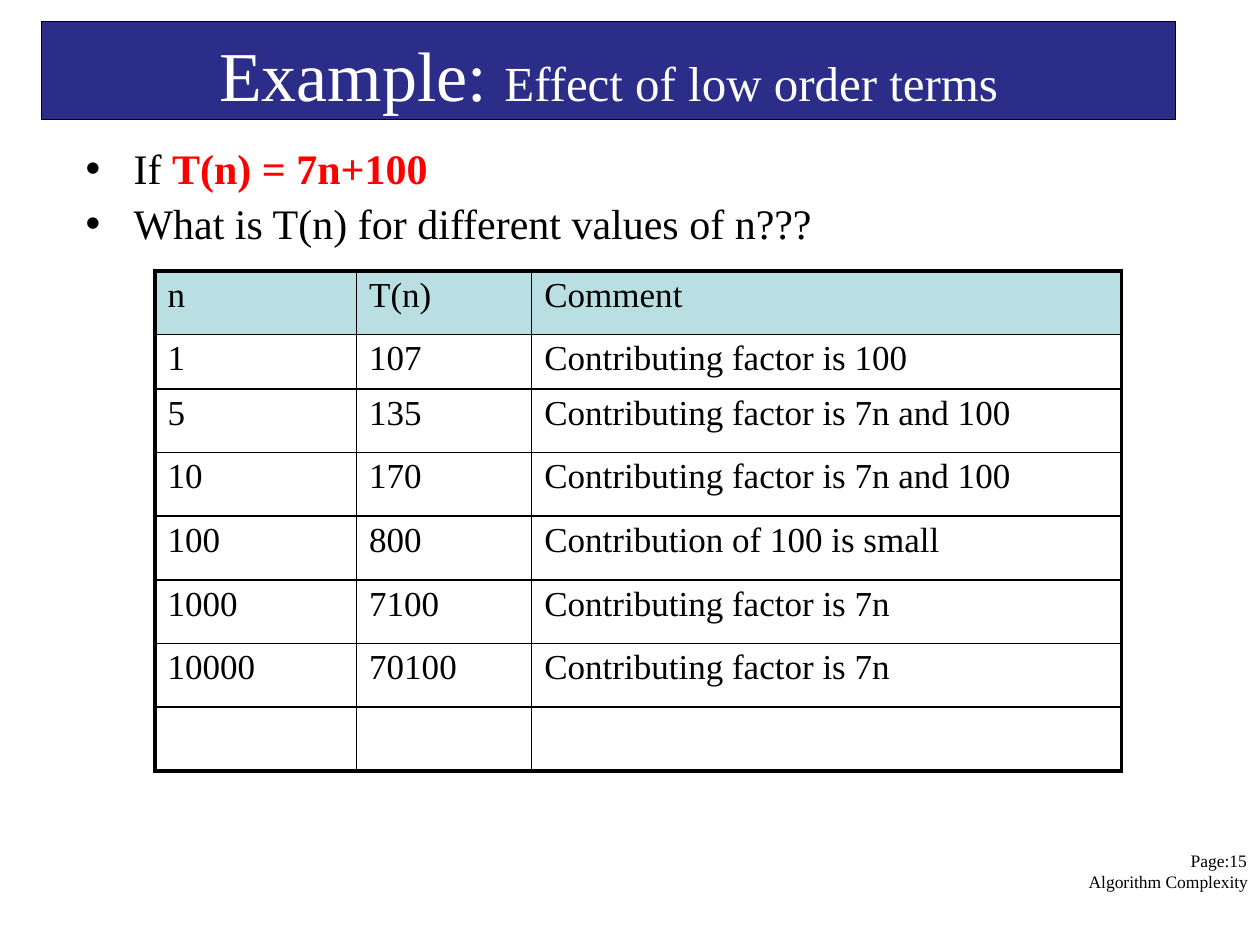
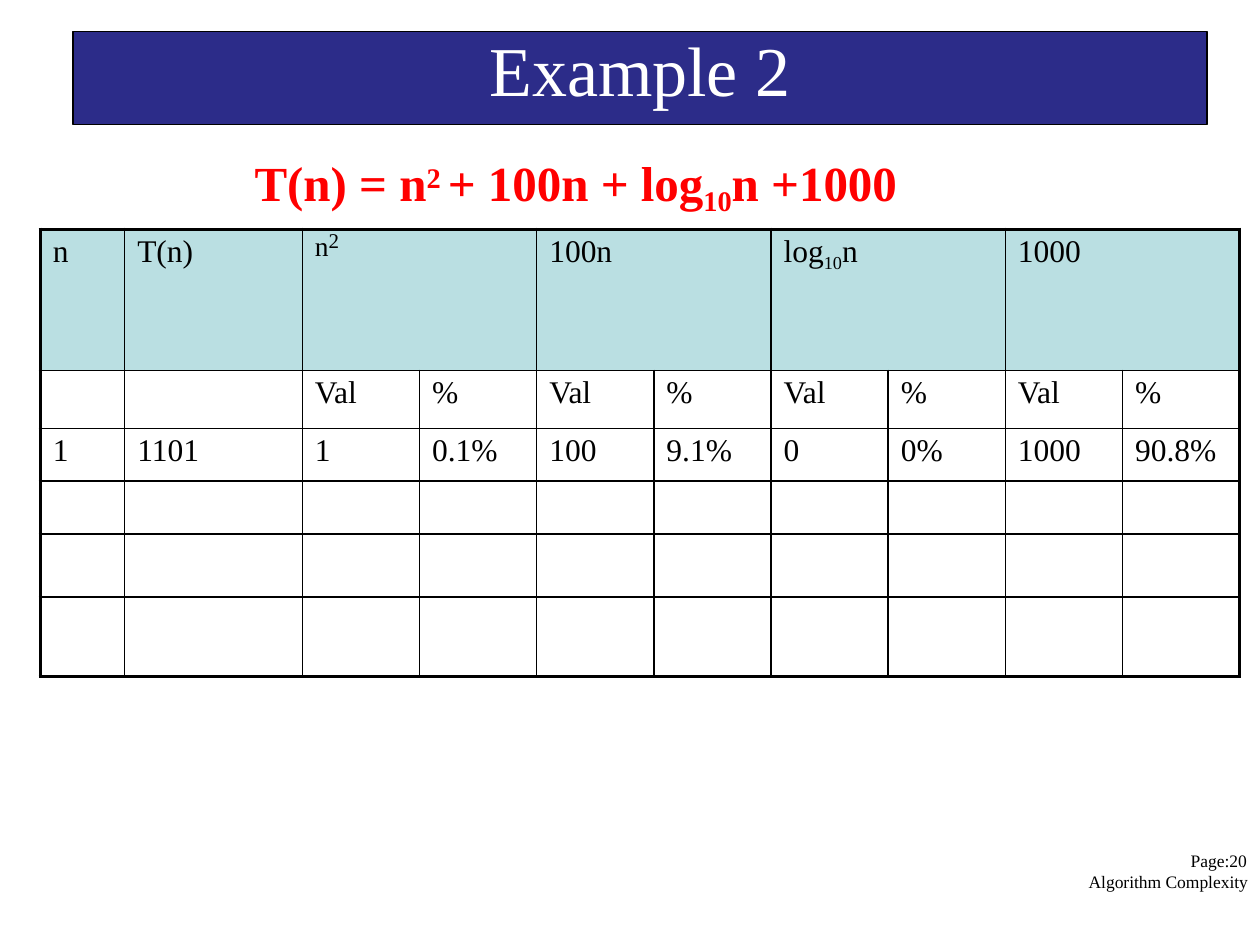
from dataclasses import dataclass
from typing import Optional

from lxml import etree
from pptx import Presentation
from pptx import util as u
from pptx.dml.color import RGBColor
from pptx.enum import text
from pptx.oxml import ns

Inches, Pt = u.Inches, u.Pt


@dataclass(frozen=True)
class Theme:
    font: str = "Times New Roman"
    band: RGBColor = RGBColor(0x2C, 0x2C, 0x89)
    header: RGBColor = RGBColor(0xBA, 0xDF, 0xE2)
    ink: RGBColor = RGBColor(0, 0, 0)
    white: RGBColor = RGBColor(0xFF, 0xFF, 0xFF)
    accent: RGBColor = RGBColor(0xFF, 0, 0)
    title: float = 40
    subtitle: float = 28
    body: float = 24
    footer: float = 10
    outer_line: float = 2.25
    inner_line: float = 1


THEME = Theme()


@dataclass(frozen=True)
class Run:
    text: str
    size: float
    color: RGBColor = THEME.ink
    bold: bool = False
    baseline: int = 0


@dataclass(frozen=True)
class Box:
    left: float
    top: float
    width: float
    height: float

    def lengths(self) -> tuple:
        return tuple(Inches(v) for v in (self.left, self.top, self.width, self.height))


@dataclass(frozen=True)
class Grid:
    box: Box
    cols: list
    rows: list
    size: float
    texts: list
    merges: tuple = ()


def write(p, runs: list) -> None:
    for run in runs:
        r = p.add_run()
        r.text = run.text
        r.font.name = THEME.font
        r.font.size = Pt(run.size)
        r.font.bold = run.bold
        r.font.color.rgb = run.color
        if run.baseline:
            r.font._element.set("baseline", str(run.baseline * 1000))


def indent(p, left: float, first: float) -> None:
    pPr = p._p.get_or_add_pPr()
    pPr.set("marL", str(Inches(left)))
    pPr.set("indent", str(Inches(first)))


def prepare(sp, box: Box, top_inset: float):
    sp.left, sp.top, sp.width, sp.height = box.lengths()
    tf = sp.text_frame
    tf.word_wrap = True
    tf.auto_size = text.MSO_AUTO_SIZE.NONE
    tf.vertical_anchor = text.MSO_ANCHOR.TOP
    tf.margin_left = tf.margin_right = tf.margin_bottom = 0
    tf.margin_top = Inches(top_inset)
    return tf


def add_text_box(s, box: Box, top_inset: float):
    return prepare(s.shapes.add_textbox(*box.lengths()), box, top_inset)


def add_title(s, box: Box, top_inset: float, runs: list):
    sp = s.shapes.title
    tf = prepare(sp, box, top_inset)
    sp.fill.solid()
    sp.fill.fore_color.rgb = THEME.band
    sp.line.color.rgb = THEME.ink
    sp.line.width = Pt(0.75)
    p = tf.paragraphs[0]
    p.alignment = text.PP_ALIGN.CENTER
    p.space_before = Pt(0)
    write(p, runs)
    return p


def add_footer(s, page: int) -> None:
    tf = add_text_box(s, Box(0.42, 6.1, 9.54, 1.33), 0.65)
    p = tf.paragraphs[0]
    p.line_spacing = Pt(12)
    indent(p, 8.22, 0.81)
    write(p, [Run(f"Page:{page} Algorithm Complexity", THEME.footer)])


def add_bullets(s, box: Box, items: list) -> None:
    tf = prepare(s.placeholders[1], box, 0.1)
    for i, runs in enumerate(items):
        p = tf.add_paragraph() if i else tf.paragraphs[0]
        p.space_before = Pt(2.9 if i else 0)
        indent(p, 0.39, -0.38)
        bullet = etree.SubElement(p._p.get_or_add_pPr(), ns.qn("a:buChar"))
        bullet.set("char", "•")
        write(p, runs)


def set_borders(cell, heavy: dict) -> None:
    tcPr = cell._tc.get_or_add_tcPr()
    for i, (side, is_outer) in enumerate(heavy.items()):
        width = THEME.outer_line if is_outer else THEME.inner_line
        ln = etree.Element(ns.qn(f"a:ln{side}"), w=str(Pt(width)))
        fill = etree.SubElement(ln, ns.qn("a:solidFill"))
        etree.SubElement(fill, ns.qn("a:srgbClr"), val=str(THEME.ink))
        tcPr.insert(i, ln)


def add_grid(s, grid: Grid):
    n_rows, n_cols = len(grid.rows), len(grid.cols)
    table = s.shapes.add_table(n_rows, n_cols, *grid.box.lengths()).table
    table.first_row = table.horz_banding = False
    for col, width in zip(table.columns, grid.cols):
        col.width = Inches(width)
    for row, height in zip(table.rows, grid.rows):
        row.height = Inches(height)
    for r, first, last in grid.merges:
        table.cell(r, first).merge(table.cell(r, last))
    for r in range(n_rows):
        for c in range(n_cols):
            cell = table.cell(r, c)
            if cell.is_spanned:
                continue
            cell.margin_left = Inches(0.1)
            cell.margin_right = cell.margin_bottom = 0
            cell.margin_top = Inches(0.04)
            if r == 0:
                cell.fill.solid()
                cell.fill.fore_color.rgb = THEME.header
            else:
                cell.fill.background()
            set_borders(cell, {
                "L": c == 0,
                "R": c + cell.span_width == n_cols,
                "T": r == 0,
                "B": r == n_rows - 1,
            })
            content = grid.texts[r][c] if r < len(grid.texts) else ""
            if content:
                runs = content if isinstance(content, list) else [Run(content, grid.size)]
                write(cell.text_frame.paragraphs[0], runs)
    return table


def add_slide(prs, layout: int, page: int):
    s = prs.slides.add_slide(prs.slide_layouts[layout])
    add_footer(s, page)
    return s


def low_order_terms(prs) -> None:
    s = add_slide(prs, 1, 15)
    add_title(s, Box(0.33, 0.17, 9, 0.78), 0.08, [
        Run("Example: ", THEME.title, THEME.white),
        Run("Effect of low order terms", THEME.subtitle, THEME.white),
    ])
    add_bullets(s, Box(0.67, 1.03, 5.8, 0.91), [
        [Run("If ", THEME.body), Run("T(n) = 7n+100", THEME.body, THEME.accent, True)],
        [Run("What is T(n) for different values of n???", THEME.body)],
    ])
    comments = {
        1: "Contributing factor is 100",
        5: "Contributing factor is 7n and 100",
        10: "Contributing factor is 7n and 100",
        100: "Contribution of 100 is small",
        1000: "Contributing factor is 7n",
        10000: "Contributing factor is 7n",
    }
    totals = {1: 107, 5: 135, 10: 170, 100: 800, 1000: 7100, 10000: 70100}
    box = Box(1.23, 2.15, 7.67, 3.97)
    short_row = 0.43
    tall_row = (box.height - short_row) / 7
    add_grid(s, Grid(
        box, [1.6, 1.39, 4.68], [tall_row, short_row] + [tall_row] * 6, 20,
        [["n", "T(n)", "Comment"]]
        + [[str(n), str(totals[n]), comment] for n, comment in comments.items()],
    ))


def term_shares(prs) -> None:
    s = add_slide(prs, 5, 20)
    p = add_title(s, Box(0.58, 0.25, 9, 0.74), 0.04,
                  [Run("Example 2", THEME.title, THEME.white)])
    p.line_spacing = Pt(42)

    def term(content: str, baseline: int = 0) -> Run:
        return Run(content, 28, THEME.accent, True, baseline)

    tf = add_text_box(s, Box(1.98, 1.19, 5.29, 0.49), 0.02)
    p = tf.paragraphs[0]
    indent(p, 0.04, 0)
    write(p, [term("T(n) = n"), term("2 ", 26), term("+ 100n + log"),
              term("10", -21), term("n +1000")])

    square = [Run("n", 27, baseline=-17), Run("2", 12)]
    log = [Run("log", 18), Run("10", 18, baseline=-21), Run("n", 18)]
    box = Box(0.32, 1.82, 9.52, 3.54)
    n_width, total_width = 0.67, 1.41
    share_width = (box.width - n_width - total_width) / 8
    table = add_grid(s, Grid(
        box, [n_width, total_width] + [share_width] * 8,
        [1.12, 0.46, 0.42, 0.42, 0.5, 0.63], 18,
        [
            ["n", "T(n)", square, "", "100n", "", log, "", "1000", ""],
            ["", ""] + ["Val", "%"] * 4,
            ["1", "1101", "1", "0.1%", "100", "9.1%", "0", "0%", "1000", "90.8%"],
        ],
        tuple((0, c, c + 1) for c in range(2, 10, 2)),
    ))
    square_cell = table.cell(0, 2)
    square_cell.margin_top = 0
    square_cell.text_frame.paragraphs[0].line_spacing = Pt(19.2)


def main() -> None:
    prs = Presentation()
    prs.slide_width, prs.slide_height = Inches(10), Inches(7.5)
    low_order_terms(prs)
    term_shares(prs)
    prs.save("out.pptx")


if __name__ == "__main__":
    main()
